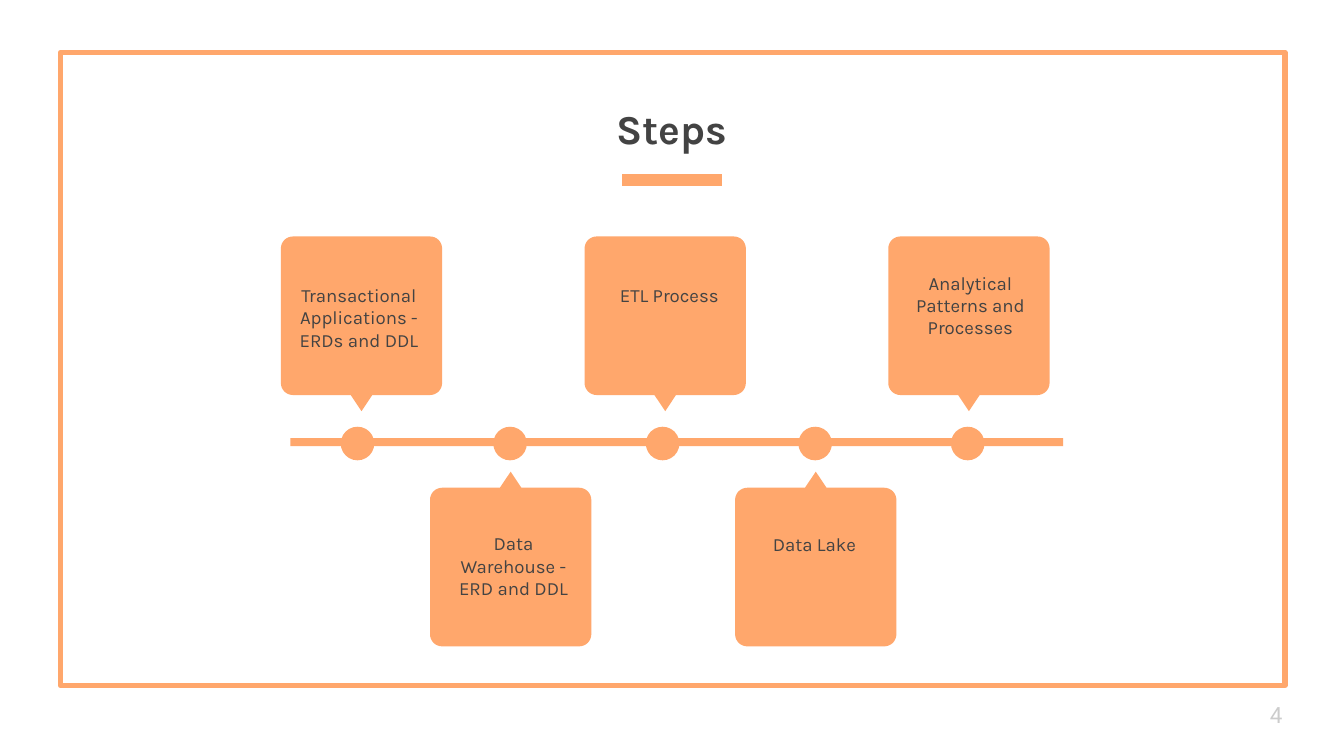
"""Build a slide with a five-step timeline of alternating callouts."""
import math

import pptx
import pptx.dml.color
import pptx.enum.shapes
import pptx.enum.text
import pptx.oxml
import pptx.util

Inches = pptx.util.Inches
Shape = pptx.enum.shapes.MSO_SHAPE
Align = pptx.enum.text.PP_ALIGN
Anchor = pptx.enum.text.MSO_ANCHOR

THEME = {
    "accent": "FFA76C",
    "title": {"font": "Karla", "size": 22, "bold": True, "color": "434343"},
    "step": {"font": "Karla", "size": 10, "bold": False, "color": "434343"},
    "number": {"font": "Roboto", "size": 12, "bold": False, "color": "CCCCCC"},
}

TITLE = "Steps"
PAGE_NUMBER = "4"
STEPS = [
    {"text": "Transactional Applications - ERDs and DDL", "tip": 2.69, "label": (2.09, 2.01)},
    {"text": "Data Warehouse - ERD and DDL", "tip": 3.80, "label": (3.24, 3.86)},
    {"text": "ETL Process", "tip": 4.95, "label": (4.40, 2.03)},
    {"text": "Data Lake", "tip": 6.07, "label": (5.48, 3.88)},
    {"text": "Analytical Patterns and Processes", "tip": 7.21, "label": (6.64, 1.92)},
]

SLIDE_WIDTH = 10
SLIDE_HEIGHT = SLIDE_WIDTH * 9 / 16
LABEL_SIZE = (1.16, 0.74)
FIRST_DOT, LAST_DOT, DOT_MIDDLE, DOT_SIZE = 2.66, 7.2, 3.3, 0.25
DOT_GAP = (LAST_DOT - FIRST_DOT) / (len(STEPS) - 1)
CALLOUT = {"half": 0.6, "near": 0.12, "far": 1.3, "radius": 0.09, "pointer": 0.08}
TIP_ABOVE, TIP_BELOW = 3.06, 3.51


def color(value):
    return pptx.dml.color.RGBColor.from_string(value)


def fill_accent(shape):
    shape.fill.solid()
    shape.fill.fore_color.rgb = color(THEME["accent"])
    shape.line.fill.background()
    shape.shadow.inherit = False


def add_accent_shape(slide, kind, left, top, width, height):
    shape = slide.shapes.add_shape(kind, *map(Inches, (left, top, width, height)))
    fill_accent(shape)


def add_text(slide, box, text, style, align=Align.CENTER, anchor=Anchor.TOP):
    frame = slide.shapes.add_textbox(*map(Inches, box)).text_frame
    formats = {"word_wrap": True, "vertical_anchor": anchor}
    for side in ("left", "top", "right", "bottom"):
        formats[f"margin_{side}"] = Inches(0.1)
    for name, value in formats.items():
        setattr(frame, name, value)
    paragraph = frame.paragraphs[0]
    paragraph.alignment = align
    run = paragraph.add_run()
    run.text = text
    font_formats = {
        "name": style["font"], "size": pptx.util.Pt(style["size"]), "bold": style["bold"],
    }
    for name, value in font_formats.items():
        setattr(run.font, name, value)
    run.font.color.rgb = color(style["color"])


def callout_outline():
    half, near, far, radius, pointer = CALLOUT.values()
    points = [(0, 0), (pointer, near)]
    corners = [
        (half - radius, near + radius, -90), (half - radius, far - radius, 0),
        (radius - half, far - radius, 90), (radius - half, near + radius, 180),
    ]
    for x, y, start in corners:
        for step in range(9):
            angle = math.radians(start + step * 90 / 8)
            points.append((x + radius * math.cos(angle), y + radius * math.sin(angle)))
    return points + [(-pointer, near)]


def add_callout(slide, tip_x, above):
    tip_y, direction = (TIP_ABOVE, -1) if above else (TIP_BELOW, 1)
    points = [
        (Inches(tip_x + x), Inches(tip_y + direction * y)) for x, y in callout_outline()
    ]
    builder = slide.shapes.build_freeform(*points[0])
    builder.add_line_segments(points[1:], close=True)
    fill_accent(builder.convert_to_shape())


def add_frame(slide):
    frame = slide.shapes.add_shape(
        Shape.RECTANGLE, *map(Inches, (0.45, 0.39, 9.11, 4.71)))
    frame.fill.background()
    frame.line.color.rgb = color(THEME["accent"])
    frame.line.width = pptx.util.Pt(3)
    frame.line._get_or_add_ln().append(pptx.oxml.parse_xml(
        '<a:round xmlns:a="http://schemas.openxmlformats.org/drawingml/2006/main"/>'))
    frame.shadow.inherit = False


def add_title_rule(slide):
    rule = slide.shapes.add_connector(
        pptx.enum.shapes.MSO_CONNECTOR.STRAIGHT, *map(Inches, (4.63, 1.34, 5.37, 1.34)))
    rule.line.color.rgb = color(THEME["accent"])
    rule.line.width = pptx.util.Pt(6)
    rule._element.spPr.append(pptx.oxml.parse_xml(
        '<a:effectLst xmlns:a="http://schemas.openxmlformats.org/drawingml/2006/main"/>'))


def main():
    presentation = pptx.Presentation()
    presentation.slide_width = Inches(SLIDE_WIDTH)
    presentation.slide_height = Inches(SLIDE_HEIGHT)
    slide = presentation.slides.add_slide(presentation.slide_layouts[6])

    add_frame(slide)
    add_title_rule(slide)
    add_text(slide, (0, 0.24, SLIDE_WIDTH, 1), TITLE, THEME["title"], anchor=Anchor.BOTTOM)
    add_accent_shape(slide, Shape.RECTANGLE, 2.16, 3.26, 5.75, 0.06)
    for index, step in enumerate(STEPS):
        add_callout(slide, step["tip"], above=index % 2 == 0)
        add_accent_shape(
            slide, Shape.OVAL, FIRST_DOT + index * DOT_GAP - DOT_SIZE / 2,
            DOT_MIDDLE - DOT_SIZE / 2, DOT_SIZE, DOT_SIZE)
        add_text(slide, step["label"] + LABEL_SIZE, step["text"], THEME["step"])
    add_text(slide, (9.35, 5.1, 0.6, 0.43), PAGE_NUMBER, THEME["number"],
             align=Align.LEFT, anchor=Anchor.MIDDLE)
    presentation.save("out.pptx")


if __name__ == "__main__":
    main()
